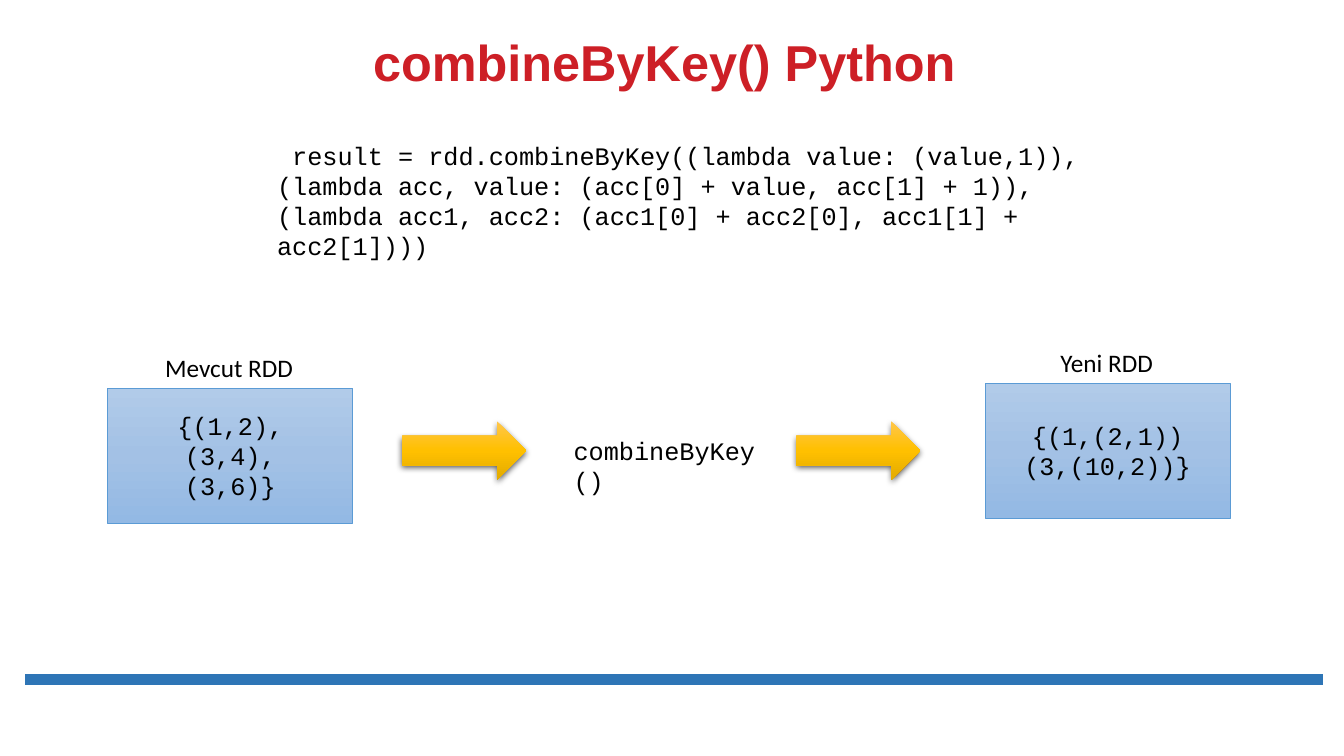
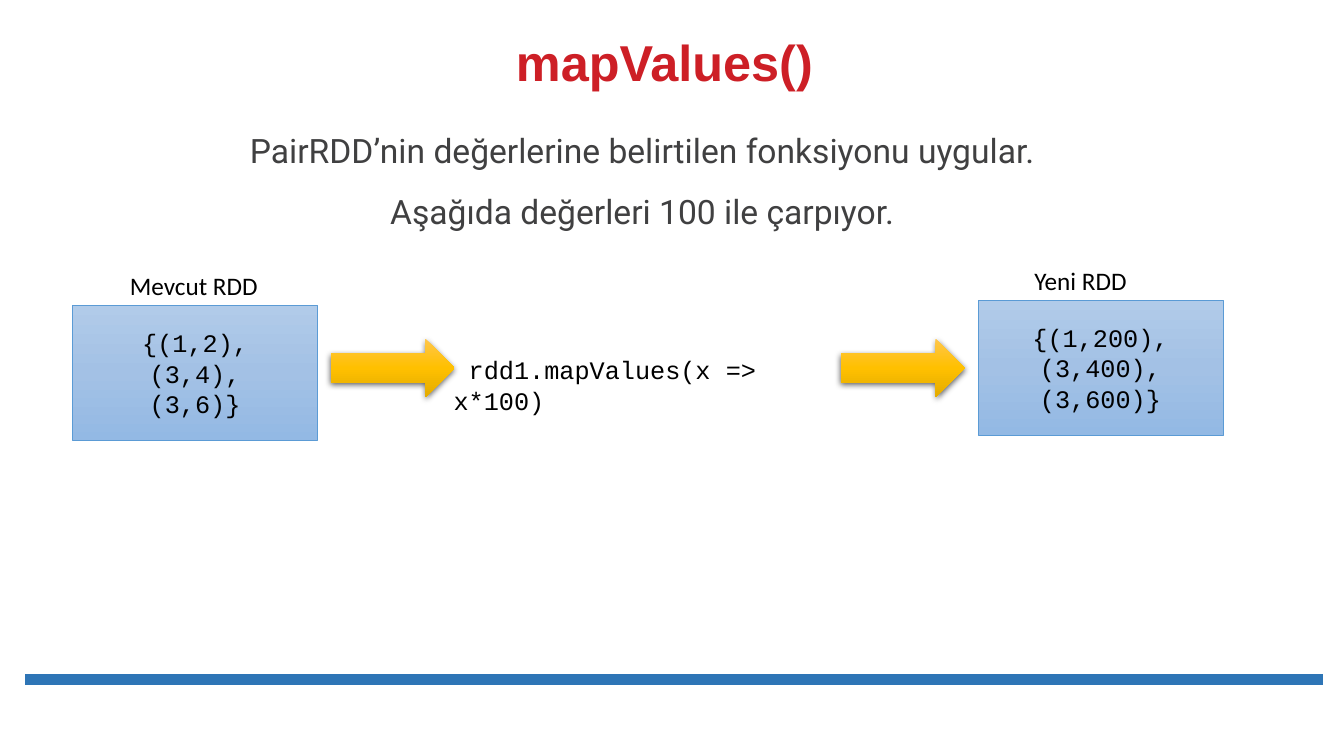
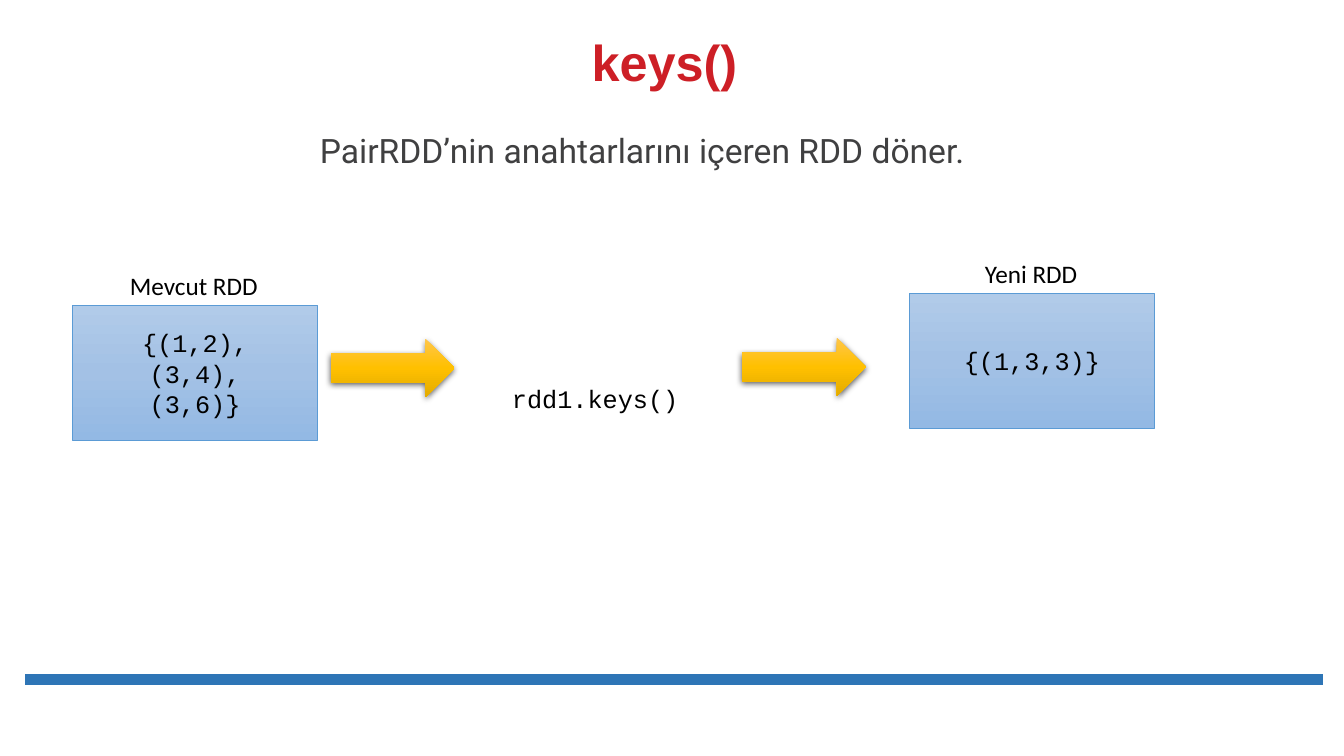
from dataclasses import dataclass

from lxml.etree import SubElement
from pptx import Presentation
from pptx.dml.color import RGBColor
from pptx.enum.shapes import MSO_CONNECTOR as Connector, MSO_SHAPE as Shape
from pptx.enum.text import MSO_ANCHOR as Anchor, MSO_AUTO_SIZE as AutoSize, PP_ALIGN as Align
from pptx.oxml.ns import qn
from pptx.util import Inches, Pt

BAND_BLUE = "2E75B6"
RDD_BORDER = "5B9BD5"
RDD_GRADIENT = ("B1CBE9", "A3C1E5", "93B9E4")
ARROW_GRADIENT = ("FFC64B", "FFC000", "E3AB00")

TITLE = {"name": "Arial", "size": Pt(36), "bold": True, "color": "CD1F26"}
DESCRIPTION = {"name": "Roboto", "size": Pt(24), "color": "404041"}
CODE = {"name": "Courier New", "size": Pt(18), "color": "000000"}
LABEL = {"name": "Calibri", "size": Pt(18), "color": "000000"}

RDD_SIZE = (2.43, 1.34)
ARROW_SIZE = (1.23, 0.58)


@dataclass
class Flow:
    origin: tuple
    first_arrow: tuple
    operation: str
    operation_box: tuple
    second_arrow: tuple
    result: list
    result_at: tuple
    result_label_indent: float


def rgb(value):
    return RGBColor.from_string(value)


def place(*lengths):
    return [Inches(length) for length in lengths]


def write(frame, lines, style, align=None, spacing=None):
    frame.text = "\n".join(lines)
    for paragraph in frame.paragraphs:
        paragraph.alignment = align
        paragraph.line_spacing = spacing
        for run in paragraph.runs:
            for attribute, value in style.items():
                if attribute == "color":
                    run.font.color.rgb = rgb(value)
                else:
                    setattr(run.font, attribute, value)


def add_text(slide, box, lines, style, wrap=True, align=None, spacing=None):
    frame = slide.shapes.add_textbox(*place(*box)).text_frame
    frame.word_wrap = wrap
    frame.auto_size = AutoSize.SHAPE_TO_FIT_TEXT
    write(frame, lines, style, align, spacing)


def fill_gradient(shape, colors):
    shape.fill.gradient()
    shape.fill.gradient_angle = 270
    stops = next(shape.element.spPr.iter(qn("a:gsLst")))
    stops.clear()
    for index, color in enumerate(colors):
        stop = SubElement(stops, qn("a:gs"), pos=str(index * 50000))
        SubElement(stop, qn("a:srgbClr"), val=color)


def add_rdd(slide, left, top, lines, label, label_indent, label_width):
    rdd = slide.shapes.add_shape(Shape.RECTANGLE, *place(left, top, *RDD_SIZE))
    rdd.shadow.inherit = False
    fill_gradient(rdd, RDD_GRADIENT)
    rdd.line.color.rgb = rgb(RDD_BORDER)
    rdd.line.width = Pt(0.5)
    rdd.text_frame.vertical_anchor = Anchor.MIDDLE
    write(rdd.text_frame, lines, CODE, Align.CENTER)
    add_text(slide, (left + label_indent, top - 0.4, label_width, 0.4), [label], LABEL, wrap=False)


def add_arrow(slide, left, top):
    arrow = slide.shapes.add_shape(Shape.RIGHT_ARROW, *place(left, top, *ARROW_SIZE))
    fill_gradient(arrow, ARROW_GRADIENT)
    arrow.line.fill.background()
    arrow.shadow.inherit = False
    effects = arrow.element.spPr.find(qn("a:effectLst"))
    shadow = SubElement(effects, qn("a:outerShdw"), blurRad=str(Pt(4.5)), dist=str(Pt(1.5)),
                        dir="5400000", algn="ctr", rotWithShape="0")
    black = SubElement(shadow, qn("a:srgbClr"), val="000000")
    SubElement(black, qn("a:alpha"), val="63000")


def add_flow(slide, flow):
    left, top = flow.origin

    def within(x, y, *size):
        return (left + x, top + y, *size)

    add_rdd(slide, left, top, ["{(1,2),", "(3,4),", "(3,6)}"], "Mevcut RDD", 0.47, 1.48)
    add_text(slide, within(*flow.operation_box), [flow.operation], CODE)
    add_arrow(slide, *within(*flow.first_arrow))
    add_arrow(slide, *within(*flow.second_arrow))
    add_rdd(slide, *within(*flow.result_at), flow.result, "Yeni RDD", flow.result_label_indent, 1.13)


def add_description(slide, lines):
    add_text(slide, (0.95, 1.04, 10.84, 0.11 + 0.6 * len(lines)), lines, DESCRIPTION,
             align=Align.CENTER, spacing=1.5)


def add_base_slide(deck, heading):
    slide = deck.slides.add_slide(deck.slide_layouts[0])
    subtitle = slide.placeholders[1].element
    subtitle.getparent().remove(subtitle)

    band = slide.shapes.add_connector(Connector.STRAIGHT, *place(0.25, 6.74, 13.12, 6.74))
    band.line.color.rgb = rgb(BAND_BLUE)
    band.line.width = Pt(8)
    SubElement(band.element.spPr, qn("a:effectLst"))

    title = slide.shapes.title
    title.left, title.top, title.width, title.height = place(1.59, 0.23, 10, 0.74)
    title.text_frame.auto_size = AutoSize.NONE
    title.text_frame.vertical_anchor = Anchor.BOTTOM
    write(title.text_frame, [heading], TITLE, Align.CENTER, 0.9)
    return slide


def add_combine_by_key(deck):
    slide = add_base_slide(deck, "combineByKey() Python")
    add_flow(slide, Flow(
        origin=(1.07, 3.85),
        first_arrow=(2.92, 0.33),
        operation="combineByKey()",
        operation_box=(4.52, 0.42, 2.14, 0.4),
        second_arrow=(6.83, 0.33),
        result=["{(1,(2,1))", "(3,(10,2))}"],
        result_at=(8.7, -0.05),
        result_label_indent=0.65,
    ))
    call = (" result = rdd.combineByKey((lambda value: (value,1)), "
            "(lambda acc, value: (acc[0] + value, acc[1] + 1)), "
            "(lambda acc1, acc2: (acc1[0] + acc2[0], acc1[1] + acc2[1])))")
    add_text(slide, (2.65, 1.34, 8.17, 1.01), [call], CODE)


def add_map_values(deck):
    slide = add_base_slide(deck, "mapValues()")
    add_description(slide, [
        "PairRDD’nin değerlerine belirtilen fonksiyonu uygular.",
        "Aşağıda değerleri 100 ile çarpıyor.",
    ])
    add_flow(slide, Flow(
        origin=(0.72, 3.03),
        first_arrow=(2.56, 0.33),
        operation=" rdd1.mapValues(x => x*100)",
        operation_box=(3.68, 0.44, 3.94, 0.4),
        second_arrow=(7.62, 0.33),
        result=["{(1,200), (3,400), (3,600)}"],
        result_at=(8.98, -0.05),
        result_label_indent=0.46,
    ))


def add_keys(deck):
    slide = add_base_slide(deck, "keys()")
    add_description(slide, ["PairRDD’nin anahtarlarını içeren RDD döner."])
    add_flow(slide, Flow(
        origin=(0.72, 3.03),
        first_arrow=(2.56, 0.33),
        operation=" rdd1.keys()",
        operation_box=(4.26, 0.42, 1.86, 0.4),
        second_arrow=(6.64, 0.32),
        result=["{(1,3,3)}"],
        result_at=(8.3, -0.12),
        result_label_indent=0.65,
    ))


def main():
    deck = Presentation()
    deck.slide_width, deck.slide_height = place(13.33, 7.5)
    add_combine_by_key(deck)
    add_map_values(deck)
    add_keys(deck)
    deck.save("out.pptx")


if __name__ == "__main__":
    main()
